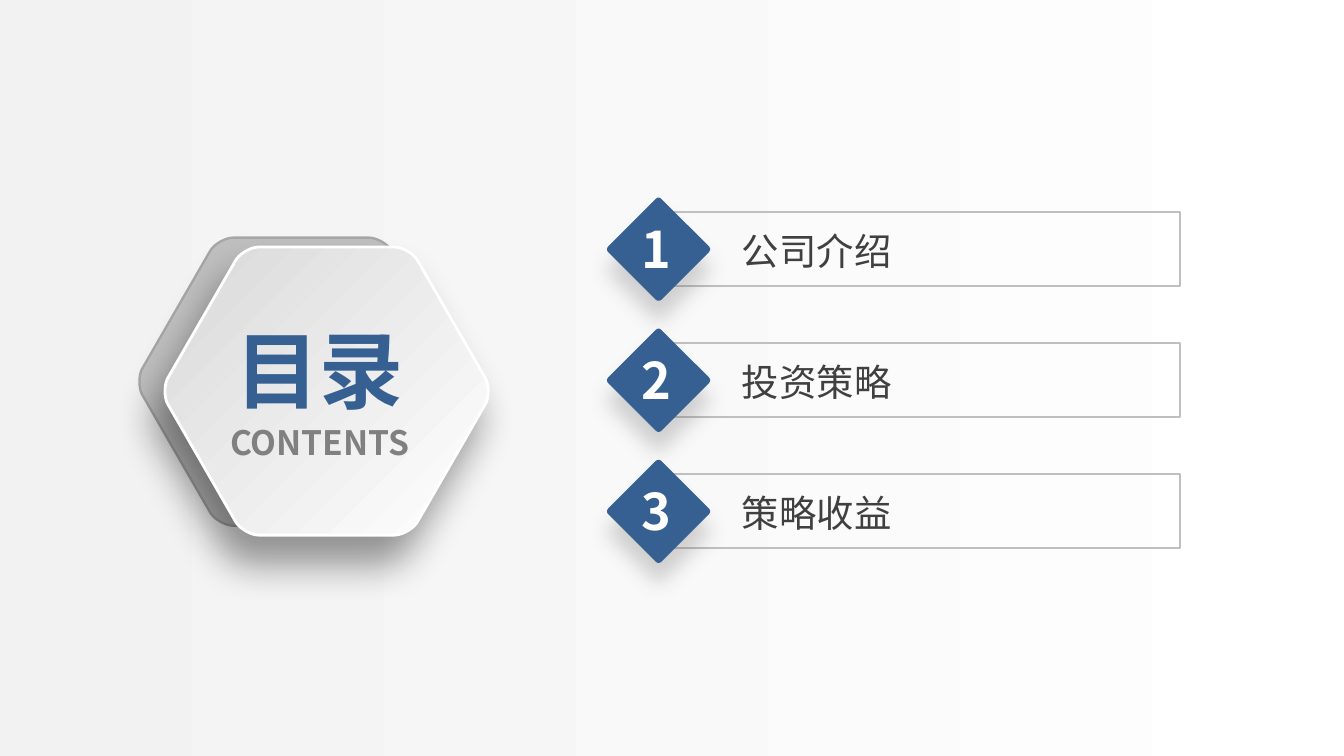
from math import cos, radians, sin
from lxml import etree
from pptx import Presentation
from pptx.dml.color import RGBColor
from pptx.enum.shapes import MSO_SHAPE as Preset
from pptx.enum.text import MSO_ANCHOR as Anchor, PP_ALIGN as Align
from pptx.oxml.ns import qn
from pptx.util import Inches, Pt

TITLE, SUBTITLE = "目录", "CONTENTS"
CHAPTERS = ["公司介绍", "投资策略", "策略收益"]
FONT = "Noto Sans CJK SC"
COLORS = {
    "blue": "376092", "white": "FFFFFF", "mist": "F2F2F2", "light": "D9D9D9",
    "silver": "BFBFBF", "edge": "A6A6A6", "gray": "808080",
    "ink": "404040", "shade": "595959", "black": "000000",
}
SLIDE_WIDTH = 10
SLIDE_HEIGHT = SLIDE_WIDTH * 9 / 16
ROW_TOP, ROW_BOTTOM = 1.58, 3.53
ROW_PITCH = (ROW_BOTTOM - ROW_TOP) / (len(CHAPTERS) - 1)
ROW_HEIGHT, DIAMOND_SIDE = 0.55, 0.56
CORNER = [(1.18, -0.1), (1.21, -0.05), (1.21, 0.05), (1.18, 0.1)]
CURVE_STEPS = 10


def color(name):
    return RGBColor.from_string(COLORS[name])


def box(left, top, width, height):
    return [Inches(value) for value in (left, top, width, height)]


def set_gradient(fill, names, angle):
    fill.gradient()
    fill.gradient_angle = angle
    for stop, name in zip(fill.gradient_stops, names):
        stop.color.rgb = color(name)


def set_line(shape, name, width):
    shape.line.color.rgb = color(name)
    shape.line.width = Pt(width)


def add_shadow(shape, name, alpha, blur, distance, angle):
    effects = shape._element.spPr.find(qn("a:effectLst"))
    shadow = etree.SubElement(
        effects, qn("a:outerShdw"), blurRad=str(Pt(blur)), dist=str(Pt(distance)),
        dir=str(angle * 60000), algn="ctr", rotWithShape="0")
    tint = etree.SubElement(shadow, qn("a:srgbClr"), val=COLORS[name])
    etree.SubElement(tint, qn("a:alpha"), val=str(alpha * 1000))


def add_text(shapes, text, place, size, name, bold=False, align=Align.LEFT,
             anchor=Anchor.TOP, wrap=True, margins=(0.07, 0.04)):
    frame = shapes.add_textbox(*box(*place)).text_frame
    frame.word_wrap = wrap
    frame.vertical_anchor = anchor
    frame.margin_left = frame.margin_right = Inches(margins[0])
    frame.margin_top = frame.margin_bottom = Inches(margins[1])
    paragraph = frame.paragraphs[0]
    paragraph.alignment = align
    run = paragraph.add_run()
    run.text = text
    run.font.size = Pt(size)
    run.font.bold = bold
    run.font.name = FONT
    run.font.color.rgb = color(name)
    etree.SubElement(run.font._element, qn("a:ea"), typeface=FONT)


def hexagon_points(center_x, center_y):
    points = []
    for turn in range(0, 360, 60):
        cosine, sine = cos(radians(turn)), sin(radians(turn))
        for step in range(CURVE_STEPS + 1):
            t = step / CURVE_STEPS
            weights = ((1 - t) ** 3, 3 * t * (1 - t) ** 2, 3 * t * t * (1 - t), t ** 3)
            x, y = (sum(w * point[axis] for w, point in zip(weights, CORNER))
                    for axis in (0, 1))
            points.append((Inches(center_x + x * cosine - y * sine),
                           Inches(center_y + x * sine + y * cosine)))
    return points


def add_hexagon(shapes, center_x, center_y):
    points = hexagon_points(center_x, center_y)
    builder = shapes.build_freeform(*points[0])
    builder.add_line_segments(points[1:], close=True)
    hexagon = builder.convert_to_shape()
    hexagon.shadow.inherit = False
    return hexagon


def add_chapter(slide, number, text, top):
    shapes = slide.shapes.add_group_shape().shapes
    frame = shapes.add_shape(Preset.RECTANGLE, *box(4.89, top, 3.89, ROW_HEIGHT))
    frame.shadow.inherit = False
    frame.fill.background()
    set_line(frame, "silver", 1)
    add_text(shapes, text, (5.45, top + 0.08, 2.72, 0.41), 20, "ink")
    diamond_top = top + (ROW_HEIGHT - DIAMOND_SIDE) / 2
    diamond = shapes.add_shape(Preset.ROUNDED_RECTANGLE,
                               *box(4.62, diamond_top, DIAMOND_SIDE, DIAMOND_SIDE))
    diamond.adjustments[0] = 0.05
    diamond.rotation = 45
    diamond.shadow.inherit = False
    diamond.fill.solid()
    diamond.fill.fore_color.rgb = color("blue")
    diamond.line.fill.background()
    add_shadow(diamond, "shade", 25, 11, 11, 90)
    add_text(shapes, str(number), (4.7, top, 0.35, 0.53), 27, "white", bold=True, wrap=False)


def main():
    presentation = Presentation()
    presentation.slide_width = Inches(SLIDE_WIDTH)
    presentation.slide_height = Inches(SLIDE_HEIGHT)
    slide = presentation.slides.add_slide(presentation.slide_layouts[6])
    set_gradient(slide.background.fill, ("mist", "white"), 0)

    back = add_hexagon(slide.shapes, 2.24, 2.84)
    back.fill.solid()
    back.fill.fore_color.rgb = color("silver")
    set_line(back, "edge", 1.25)
    front = add_hexagon(slide.shapes, 2.43, 2.91)
    set_gradient(front.fill, ("light", "white"), 315)
    set_line(front, "white", 1.5)
    add_shadow(front, "black", 40, 21, 16, 113)

    add_text(slide.shapes, TITLE, (1.48, 2.32, 1.79, 0.86), 45, "blue", bold=True,
             align=Align.CENTER, margins=(0.1, 0.05))
    add_text(slide.shapes, SUBTITLE, (1.48, 3.08, 1.8, 0.42), 18, "gray", bold=True,
             align=Align.CENTER, anchor=Anchor.MIDDLE)
    for index, text in enumerate(CHAPTERS):
        add_chapter(slide, index + 1, text, ROW_TOP + index * ROW_PITCH)
    presentation.save("out.pptx")


if __name__ == "__main__":
    main()
